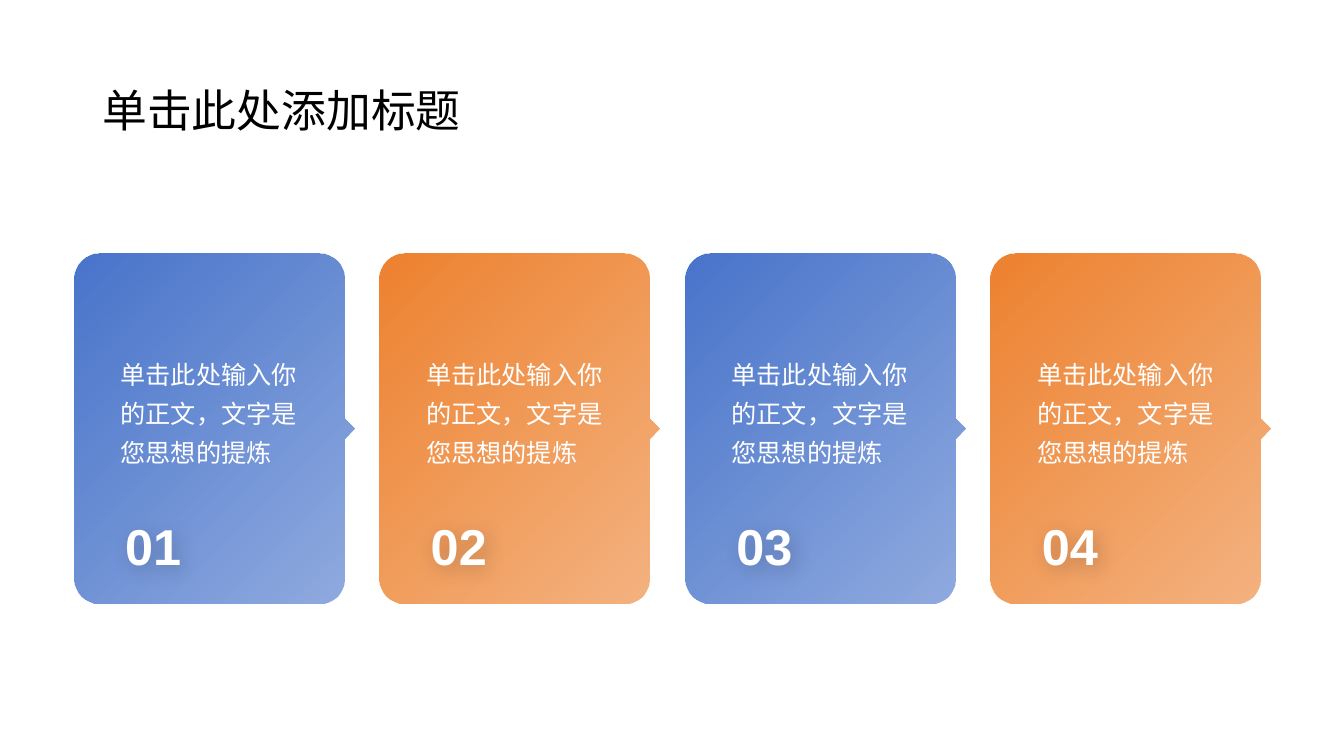
"""Build a slide with a title and four numbered arrow cards."""
from lxml import etree
from pptx import Presentation
from pptx.dml.color import RGBColor
from pptx.enum.text import MSO_ANCHOR, PP_ALIGN
from pptx.oxml.ns import qn
from pptx.util import Pt

MIDDLE = MSO_ANCHOR.MIDDLE
LEFT, CENTER = PP_ALIGN.LEFT, PP_ALIGN.CENTER
COLORS = {"blue": "4874CB", "orange": "EE822F", "white": "FFFFFF", "black": "000000"}
BODY = "单击此处输入你的正文，文字是您思想的提炼"
CARD_LEFT, CARD_TOP, CARD_PITCH = 53.1, 180.8, 218.25
CARD_W, CARD_H, RADIUS, TIP = 192.5, 250.6, 17.5, 7.5
CORNERS = (1, 6, 8, 10)
CURVE = 0.55


def rgb(name):
    """Return the named colour."""
    return RGBColor.from_string(COLORS[name])


def write(sp, text, size, color="white", font="Arial", bold=False, align=LEFT,
          spacing=1.0, insets=(0, 0, 0, 0), wrap=True):
    """Put one formatted paragraph into a shape."""
    tf = sp.text_frame
    tf.word_wrap = wrap
    tf.vertical_anchor = MIDDLE
    tf.margin_left, tf.margin_top, tf.margin_right, tf.margin_bottom = map(Pt, insets)
    p = tf.paragraphs[0]
    p.alignment = align
    p.line_spacing = spacing
    r = p.add_run()
    r.text = text
    r.font.name = font
    r.font.size = Pt(size)
    r.font.bold = bold
    r.font.color.rgb = rgb(color)


def add_text(s, x, y, w, h, text, size, **fmt):
    """Add a text box and return it."""
    sp = s.shapes.add_textbox(Pt(x), Pt(y), Pt(w), Pt(h))
    write(sp, text, size, **fmt)
    return sp


def card_outline(x, y):
    """Return the outline of a bevelled card with a tip on its right side."""
    right, bottom, mid = x + CARD_W, y + CARD_H, y + CARD_H / 2
    x1, x2, y1, y2 = x + RADIUS, right - RADIUS, y + RADIUS, bottom - RADIUS
    return [(x1, y), (x2, y), (right, y1), (right, mid - TIP), (right + TIP, mid),
            (right, mid + TIP), (right, y2), (x2, bottom), (x1, bottom),
            (x, y2), (x, y1), (x1, y)]


def round_corners(sp):
    """Turn the bevels of a card into curves."""
    lines = sp.element.spPr.findall(".//" + qn("a:lnTo"))
    ends = [(int(line[0].get("x")), int(line[0].get("y"))) for line in lines]
    for turn, i in enumerate(CORNERS):
        (ax, ay), (bx, by) = ends[i - 1], ends[i]
        cx, cy = (ax, by) if turn % 2 else (bx, ay)
        curve = etree.Element(qn("a:cubicBezTo"))
        for px, py in ((ax, ay), (bx, by)):
            etree.SubElement(curve, qn("a:pt"), x=str(round(px + CURVE * (cx - px))),
                             y=str(round(py + CURVE * (cy - py))))
        etree.SubElement(curve, qn("a:pt"), x=str(bx), y=str(by))
        lines[i].getparent().replace(lines[i], curve)


def add_alpha(color, percent):
    """Set the opacity of a colour element."""
    etree.SubElement(color, qn("a:alpha"), val=str(percent * 1000))


def fade_fill(sp, color):
    """Fill a shape with a diagonal gradient that fades out."""
    sp.fill.gradient()
    sp.fill.gradient_angle = 315
    for stop in sp.fill.gradient_stops:
        stop.color.rgb = rgb(color)
    add_alpha(sp.element.spPr.findall(".//" + qn("a:srgbClr"))[-1], 60)


def add_soft_shadow(sp):
    """Give a shape a blurred shadow to the lower right."""
    effects = etree.SubElement(sp.element.spPr, qn("a:effectLst"))
    shadow = etree.SubElement(effects, qn("a:outerShdw"), blurRad=str(Pt(14)),
                              dist=str(Pt(4)), dir="2700000", algn="tl", rotWithShape="0")
    add_alpha(etree.SubElement(shadow, qn("a:srgbClr"), val=COLORS["black"]), 20)


def add_card(s, index, color):
    """Add one card with its body text and number."""
    x = CARD_LEFT + index * CARD_PITCH
    points = [(Pt(px), Pt(py)) for px, py in card_outline(x, CARD_TOP)]
    builder = s.shapes.build_freeform(*points[0])
    builder.add_line_segments(points[1:], close=True)
    sp = builder.convert_to_shape()
    round_corners(sp)
    sp.shadow.inherit = False
    sp.line.fill.background()
    fade_fill(sp, color)
    write(sp, BODY, 18, spacing=1.3, insets=(33, 36.7, 25, 64.8))
    number = add_text(s, x + 29, 364.3, 54.7, 50.4, f"{index + 1:02d}", 36,
                      bold=True, align=CENTER, wrap=False)
    add_soft_shadow(number)


def main():
    """Build and save the slide."""
    prs = Presentation()
    prs.slide_width, prs.slide_height = Pt(960), Pt(540)
    s = prs.slides.add_slide(prs.slide_layouts[6])
    add_text(s, 66, 28.75, 828, 104.4, "单击此处添加标题", 32, color="black",
             font="Calibri", spacing=0.9, insets=(7.2, 3.6, 7.2, 3.6))
    for index, color in enumerate(("blue", "orange") * 2):
        add_card(s, index, color)
    prs.save("out.pptx")


if __name__ == "__main__":
    main()
